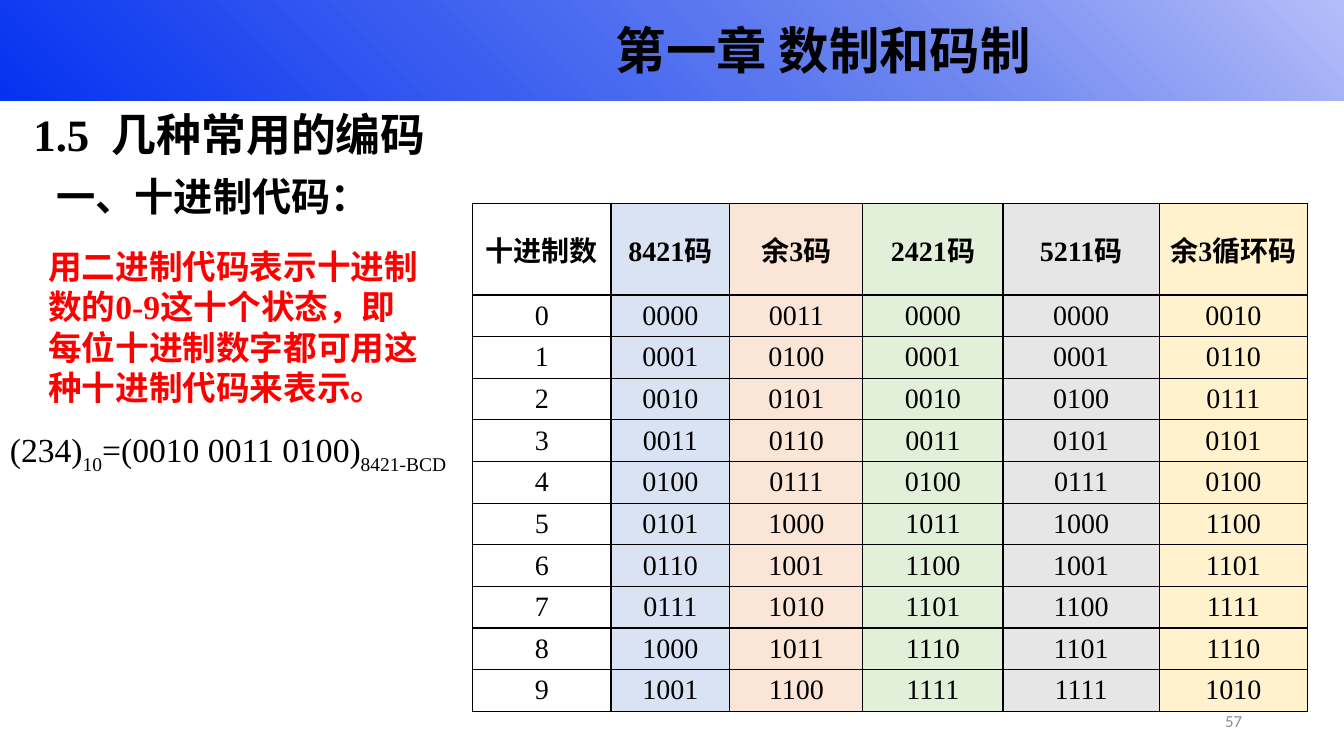
import pptx
import pptx.dml.color
import pptx.enum.shapes
import pptx.enum.text
import pptx.oxml
import pptx.oxml.ns
import pptx.util
from lxml import etree

RGB = pptx.dml.color.RGBColor
BLACK = RGB(0x00, 0x00, 0x00)
RED = RGB(0xFF, 0x00, 0x00)
GREY = RGB(0x8C, 0x8C, 0x8C)
BANNER_STOPS = [(0, RGB(0xB5, 0xBD, 0xF9)), (33, RGB(0x6D, 0x86, 0xEF)),
                (100, RGB(0x05, 0x32, 0xF1))]
COLUMN_FILLS = [None, RGB(0xDA, 0xE3, 0xF3), RGB(0xFB, 0xE5, 0xD6),
                RGB(0xE2, 0xF0, 0xD9), RGB(0xE7, 0xE6, 0xE6), RGB(0xFF, 0xF2, 0xCC)]

SERIF, CJK, SANS = "Times New Roman", "Noto Sans CJK SC", "Calibri"
WIDTH, HEIGHT = pptx.util.Inches(13.33), pptx.util.Inches(7.5)
ANCHOR = pptx.enum.text.MSO_ANCHOR
ALIGN = pptx.enum.text.PP_ALIGN

# Column widths and row heights, in percent of the slide
COLUMN_SHARES = [10.28, 8.85, 9.9, 10.43, 11.63, 11.03]
HEADER_SHARE, ROW_SHARE = 12, 5.51

HEADERS = ["十进制数", "8421码", "余3码", "2421码", "5211码", "余3循环码"]
CODES = [
    "0000 0011 0000 0000 0010", "0001 0100 0001 0001 0110",
    "0010 0101 0010 0100 0111", "0011 0110 0011 0101 0101",
    "0100 0111 0100 0111 0100", "0101 1000 1011 1000 1100",
    "0110 1001 1100 1001 1101", "0111 1010 1101 1100 1111",
    "1000 1011 1110 1101 1110", "1001 1100 1111 1111 1010",
]


def across(share):
    return round(WIDTH * share / 100)


def down(share):
    return round(HEIGHT * share / 100)


def area(x, y, w, h):
    """Turn percentages of the slide into lengths."""
    return across(x), down(y), across(w), down(h)


def add_run(p, text, size, color=BLACK, bold=False, font=SERIF, baseline=0):
    r = p.add_run()
    r.text = text
    r.font.size = pptx.util.Pt(size)
    r.font.bold = bold
    r.font.name = font
    r.font.color.rgb = color
    rPr = r.font._element
    etree.SubElement(rPr, pptx.oxml.ns.qn("a:ea")).set("typeface", CJK)
    if baseline:
        rPr.set("baseline", str(baseline * 1000))


def set_frame(sp, anchor, align, spacing=1.0):
    """Prepare a text frame and return its first paragraph."""
    tf = sp.text_frame
    tf.word_wrap = True
    tf.auto_size = pptx.enum.text.MSO_AUTO_SIZE.NONE
    tf.vertical_anchor = anchor
    p = tf.paragraphs[0]
    p.alignment = align
    p.line_spacing = spacing
    p.space_before = pptx.util.Pt(0)
    return p


def add_text(s, box, anchor=ANCHOR.TOP, align=ALIGN.LEFT, spacing=1.0):
    return set_frame(s.shapes.add_textbox(*area(*box)), anchor, align, spacing)


def fill_placeholder(sp, box, anchor):
    sp.left, sp.top, sp.width, sp.height = area(*box)
    return set_frame(sp, anchor, ALIGN.LEFT, 0.9)


def add_banner(s):
    sp = s.shapes.add_shape(pptx.enum.shapes.MSO_SHAPE.RECTANGLE,
                            *area(0, 0, 100, 13.33))
    sp.shadow.inherit = False
    sp.line.fill.background()
    sp.fill.solid()
    stops = "".join(f'<a:gs pos="{pos * 1000}"><a:srgbClr val="{color}"/></a:gs>'
                    for pos, color in BANNER_STOPS)
    gradient = pptx.oxml.parse_xml(
        f'<a:gradFill {pptx.oxml.ns.nsdecls("a")} rotWithShape="1">'
        f'<a:gsLst>{stops}</a:gsLst><a:path path="circle">'
        '<a:fillToRect l="100000" b="100000"/></a:path></a:gradFill>')
    spPr = sp._element.spPr
    spPr.replace(spPr.find(pptx.oxml.ns.qn("a:solidFill")), gradient)


def add_borders(cell):
    tcPr = cell._tc.get_or_add_tcPr()
    for side in ("lnL", "lnR", "lnT", "lnB"):
        tcPr.append(pptx.oxml.parse_xml(
            f'<a:{side} {pptx.oxml.ns.nsdecls("a")} w="12700"><a:solidFill>'
            f'<a:srgbClr val="{BLACK}"/></a:solidFill></a:{side}>'))


def add_code_table(s):
    rows = [HEADERS] + [[str(n), *codes.split()] for n, codes in enumerate(CODES)]
    heights = [HEADER_SHARE] + [ROW_SHARE] * len(CODES)
    box = area(35.18, 26.93, sum(COLUMN_SHARES), sum(heights))
    table = s.shapes.add_table(len(rows), len(HEADERS), *box).table
    table.first_row = table.horz_banding = False
    for column, share in zip(table.columns, COLUMN_SHARES):
        column.width = across(share)
    for i, values in enumerate(rows):
        table.rows[i].height = down(heights[i])
        for j, value in enumerate(values):
            cell = table.cell(i, j)
            cell.vertical_anchor = ANCHOR.MIDDLE
            add_borders(cell)
            if COLUMN_FILLS[j] is None:
                cell.fill.background()
            else:
                cell.fill.solid()
                cell.fill.fore_color.rgb = COLUMN_FILLS[j]
            p = cell.text_frame.paragraphs[0]
            p.alignment = ALIGN.CENTER
            add_run(p, value, 20, bold=i == 0)


def main():
    prs = pptx.Presentation()
    prs.slide_width, prs.slide_height = WIDTH, HEIGHT
    s = prs.slides.add_slide(prs.slide_layouts[1])

    # Chapter banner
    add_banner(s)
    p = add_text(s, (34.06, 0.93, 54.39, 12.27), ANCHOR.MIDDLE, ALIGN.CENTER, 0.9)
    add_run(p, "第一章 数制和码制", 36, bold=True, font=CJK)

    # Section title and heading
    p = fill_placeholder(s.shapes.title, (1.73, 8.4, 64.67, 19.33), ANCHOR.MIDDLE)
    add_run(p, "1.5  几种常用的编码", 32, bold=True)
    p = fill_placeholder(s.placeholders[1], (3.45, 22.8, 89.65, 7.47), ANCHOR.TOP)
    pPr = p._p.get_or_add_pPr()
    pPr.set("marL", str(pptx.util.Inches(0.25)))
    pPr.set("indent", str(-pptx.util.Inches(0.25)))
    etree.SubElement(pPr, pptx.oxml.ns.qn("a:buNone"))
    add_run(p, "一、十进制代码：", 28, bold=True)

    # Explanation and example
    p = add_text(s, (2.85, 31.87, 29.26, 22.93))
    add_run(p, "用二进制代码表示十进制数的0-9这十个状态，即每位十进制数字都可用这种十进制代码来表示。",
            24, RED, bold=True)
    p = add_text(s, (0, 56.13, 36.38, 6.67))
    for text, baseline in [("(234)", 0), ("10", -25),
                           ("=(0010 0011 0100)", 0), ("8421-BCD", -25)]:
        add_run(p, text, 24, baseline=baseline)

    # Code table and page number
    add_code_table(s)
    p = add_text(s, (70.67, 92.67, 22.5, 5.33), ANCHOR.MIDDLE, ALIGN.RIGHT)
    add_run(p, "57", 12, GREY, font=SANS)

    prs.save("out.pptx")


if __name__ == "__main__":
    main()
